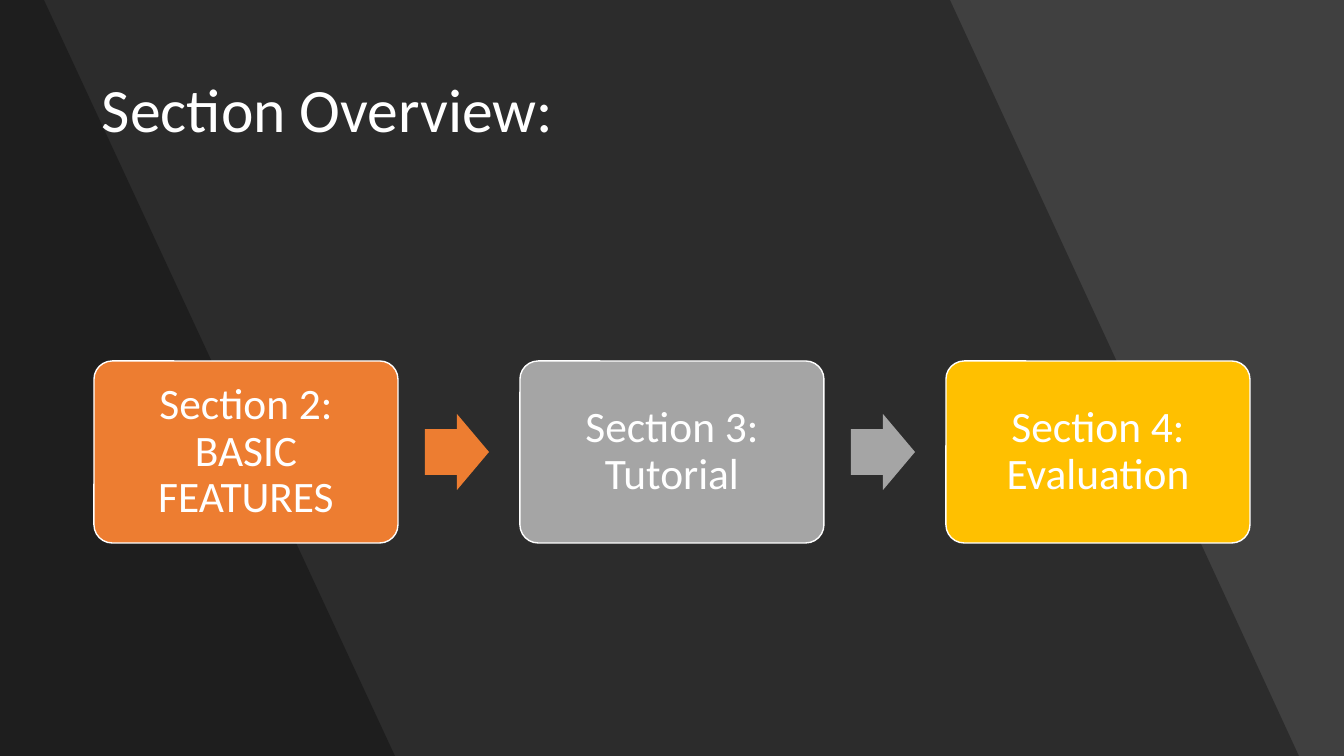
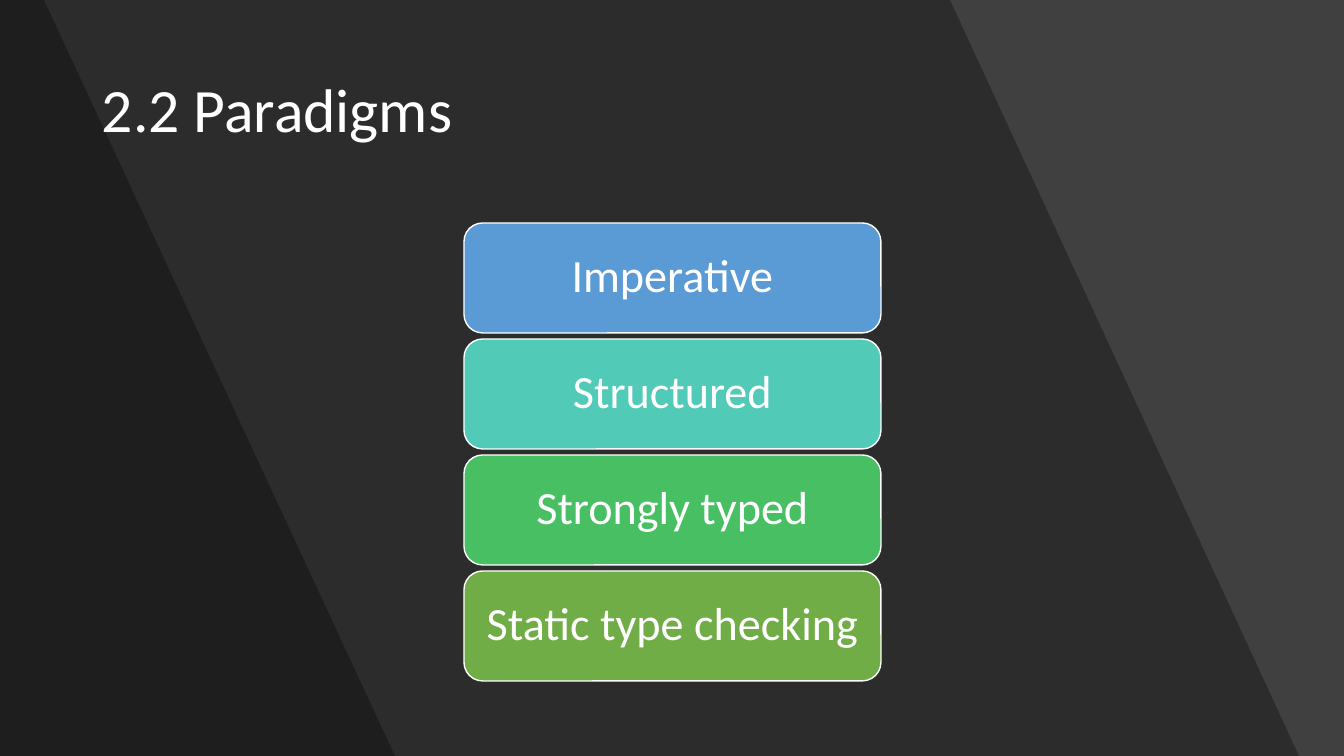
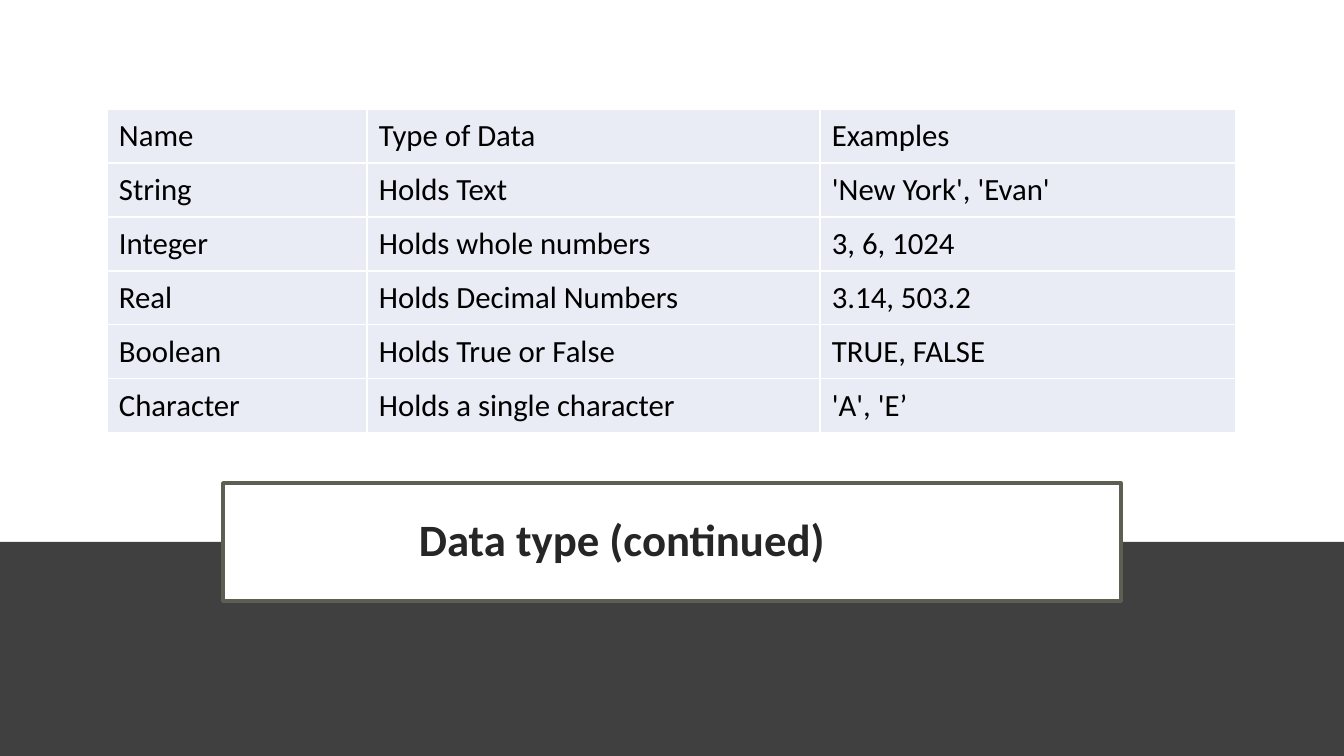
from dataclasses import dataclass

from lxml import etree
from pptx import Presentation
from pptx.dml.color import RGBColor
from pptx.enum.shapes import MSO_SHAPE
from pptx.enum.text import MSO_ANCHOR, PP_ALIGN
from pptx.oxml.ns import qn
from pptx.presentation import Presentation as Deck
from pptx.shapes.autoshape import Shape
from pptx.slide import Slide
from pptx.table import _Cell
from pptx.text.text import TextFrame
from pptx.util import Emu, Pt

RECTANGLE = MSO_SHAPE.RECTANGLE
ROUNDED = MSO_SHAPE.ROUNDED_RECTANGLE
RIGHT_ARROW = MSO_SHAPE.RIGHT_ARROW
LEFT = PP_ALIGN.LEFT
CENTER = PP_ALIGN.CENTER
MIDDLE = MSO_ANCHOR.MIDDLE

# Shared look
SLIDE_W, SLIDE_H = 1344, 756
EMU_PER_PX = 12192000 / SLIDE_W
FONT = "Calibri"
WHITE = "FFFFFF"
BLACK = "000000"
CHARCOAL = "404040"
ORANGE = "ED7D31"
GRAY = "A5A5A5"
GOLD = "FFC000"
TITLE_INK = "262626"
TITLE_BORDER = "5E5E52"
CELL_FILL = "E9EBF5"

# Top and bottom x of the slanted edge of each shade
SHADE_EDGES = [(950, 1299), (44, 395)]
SHADE_OPACITY = 30


@dataclass(frozen=True)
class Box:
    left: int
    top: int
    width: int
    height: int


@dataclass(frozen=True)
class Card:
    label: str
    color: str


@dataclass(frozen=True)
class Insets:
    left: int
    top: int
    right: int
    bottom: int


TITLE_BOX = Box(92, 40, 1160, 146)
TITLE_INSETS = Insets(10, 5, 10, 5)

SECTIONS = [
    Card("Section 2: BASIC FEATURES", ORANGE),
    Card("Section 3: Tutorial", GRAY),
    Card("Section 4: Evaluation", GOLD),
]
PARADIGMS = [
    Card("Imperative", "5B9BD5"),
    Card("Structured", "52CAB8"),
    Card("Strongly typed", "49BF64"),
    Card("Static type checking", "70AD47"),
]
DATA_TYPES = [
    ("Name", "Type of Data", "Examples"),
    ("String", "Holds Text", "'New York', 'Evan'"),
    ("Integer", "Holds whole numbers", "3, 6, 1024"),
    ("Real", "Holds Decimal Numbers", "3.14, 503.2"),
    ("Boolean", "Holds True or False", "TRUE, FALSE"),
    ("Character", "Holds a single character", "'A', 'E’"),
]


def px(length: int) -> Emu:
    return Emu(round(length * EMU_PER_PX))


def place(box: Box) -> tuple[Emu, Emu, Emu, Emu]:
    return px(box.left), px(box.top), px(box.width), px(box.height)


def rgb(color: str) -> RGBColor:
    return RGBColor.from_string(color)


def write_text(frame: TextFrame, text: str, *, size: int, color: str,
               bold: bool = False, align: PP_ALIGN = LEFT,
               spacing: float = 0.9) -> None:
    paragraph = frame.paragraphs[0]
    paragraph.alignment = align
    paragraph.line_spacing = spacing
    run = paragraph.add_run()
    run.text = text
    run.font.name = FONT
    run.font.size = Pt(size)
    run.font.bold = bold
    run.font.color.rgb = rgb(color)


def set_insets(holder: TextFrame | _Cell, insets: Insets) -> None:
    """Set the inner margins and centre the text vertically."""
    holder.margin_left = px(insets.left)
    holder.margin_top = px(insets.top)
    holder.margin_right = px(insets.right)
    holder.margin_bottom = px(insets.bottom)
    holder.vertical_anchor = MIDDLE


def paint(shape: Shape, fill: str, line: str = "", line_width: float = 1) -> None:
    shape.shadow.inherit = False
    shape.fill.solid()
    shape.fill.fore_color.rgb = rgb(fill)
    if line:
        shape.line.color.rgb = rgb(line)
        shape.line.width = Pt(line_width)
    else:
        shape.line.fill.background()


def add_slide(deck: Deck, background: str) -> Slide:
    slide = deck.slides.add_slide(deck.slide_layouts[6])
    slide.background.fill.solid()
    slide.background.fill.fore_color.rgb = rgb(background)
    return slide


def add_dark_slide(deck: Deck, title: str) -> Slide:
    """Add a dark slide with its slanted shades and its title."""
    slide = add_slide(deck, CHARCOAL)
    for top_x, bottom_x in SHADE_EDGES:
        outline = slide.shapes.build_freeform(0, 0, scale=EMU_PER_PX)
        outline.add_line_segments(
            [(top_x, 0), (bottom_x, SLIDE_H), (0, SLIDE_H)], close=True)
        shade = outline.convert_to_shape()
        paint(shade, BLACK)
        tint = shade.fill._xPr.find(f"{qn('a:solidFill')}/{qn('a:srgbClr')}")
        etree.SubElement(tint, qn("a:alpha"), val=str(SHADE_OPACITY * 1000))

    frame = slide.shapes.add_textbox(*place(TITLE_BOX)).text_frame
    frame.word_wrap = True
    set_insets(frame, TITLE_INSETS)
    write_text(frame, title, size=44, color=WHITE)
    return slide


def add_card(slide: Slide, card: Card, box: Box, *, size: int,
             insets: Insets, rounding: float) -> None:
    shape = slide.shapes.add_shape(ROUNDED, *place(box))
    shape.adjustments[0] = rounding
    paint(shape, card.color, WHITE)
    frame = shape.text_frame
    frame.word_wrap = True
    set_insets(frame, insets)
    write_text(frame, card.label, size=size, color=WHITE, align=CENTER)


def add_cell_borders(cell: _Cell, color: str, width: int) -> None:
    properties = cell._tc.get_or_add_tcPr()
    for index, side in enumerate(("a:lnL", "a:lnR", "a:lnT", "a:lnB")):
        border = etree.Element(qn(side), w=str(Pt(width)))
        fill = etree.SubElement(border, qn("a:solidFill"))
        etree.SubElement(fill, qn("a:srgbClr"), val=color)
        properties.insert(index, border)


def build_overview(deck: Deck) -> None:
    slide = add_dark_slide(deck, "Section Overview:")
    first_left, pitch, arrow_offset = 94, 426, 331
    for index, section in enumerate(SECTIONS):
        left = first_left + index * pitch
        add_card(slide, section, Box(left, 361, 304, 182), size=31,
                 insets=Insets(13, 13, 13, 13), rounding=0.1)
        # An arrow leads on to the next section
        if index < len(SECTIONS) - 1:
            arrow = slide.shapes.add_shape(
                RIGHT_ARROW, *place(Box(left + arrow_offset, 414, 64, 76)))
            arrow.adjustments[0] = 0.6
            arrow.adjustments[1] = 0.5
            paint(arrow, section.color)


def build_paradigms(deck: Deck) -> None:
    slide = add_dark_slide(deck, "2.2 Paradigms")
    first_top, pitch = 223, 116
    for index, paradigm in enumerate(PARADIGMS):
        add_card(slide, paradigm, Box(464, first_top + index * pitch, 417, 110),
                 size=33, insets=Insets(14, 7, 14, 7), rounding=0.17)


def build_data_types(deck: Deck) -> None:
    slide = add_slide(deck, WHITE)

    # Bottom band and framed title
    band = slide.shapes.add_shape(RECTANGLE, *place(Box(0, 542, SLIDE_W, 214)))
    paint(band, CHARCOAL)
    title = slide.shapes.add_shape(RECTANGLE, *place(Box(223, 483, 898, 118)))
    paint(title, WHITE, TITLE_BORDER, 2.5)
    title.text_frame.word_wrap = True
    set_insets(title.text_frame, Insets(10, 5, 110, 5))
    write_text(title.text_frame, "Data type (continued)", size=32,
               color=TITLE_INK, bold=True, align=CENTER)

    # Table of data types
    column_widths = [260, 453, 416]
    row_height = 54
    table_box = Box(107, 109, sum(column_widths), row_height * len(DATA_TYPES))
    table = slide.shapes.add_table(
        len(DATA_TYPES), len(column_widths), *place(table_box)).table
    table.first_row = False
    table.horz_banding = False
    for column, width in zip(table.columns, column_widths):
        column.width = px(width)
    for row, texts in zip(table.rows, DATA_TYPES):
        row.height = px(row_height)
        for cell, text in zip(row.cells, texts):
            cell.fill.solid()
            cell.fill.fore_color.rgb = rgb(CELL_FILL)
            add_cell_borders(cell, WHITE, 1)
            set_insets(cell, Insets(12, 6, 12, 6))
            write_text(cell.text_frame, text, size=22, color=BLACK, spacing=1.0)


def main() -> None:
    deck = Presentation()
    deck.slide_width = px(SLIDE_W)
    deck.slide_height = px(SLIDE_H)
    build_overview(deck)
    build_paradigms(deck)
    build_data_types(deck)
    deck.save("out.pptx")


if __name__ == "__main__":
    main()
